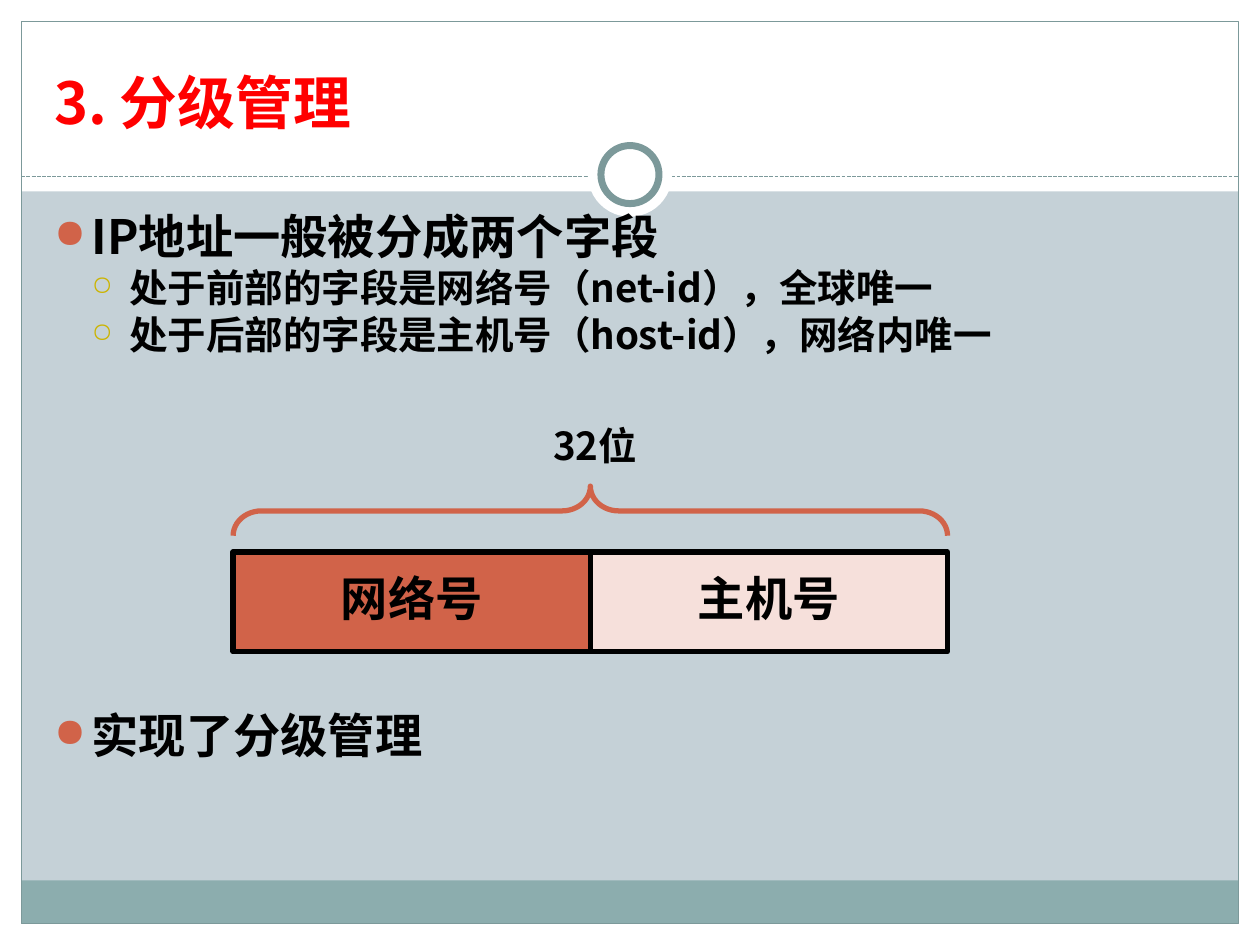
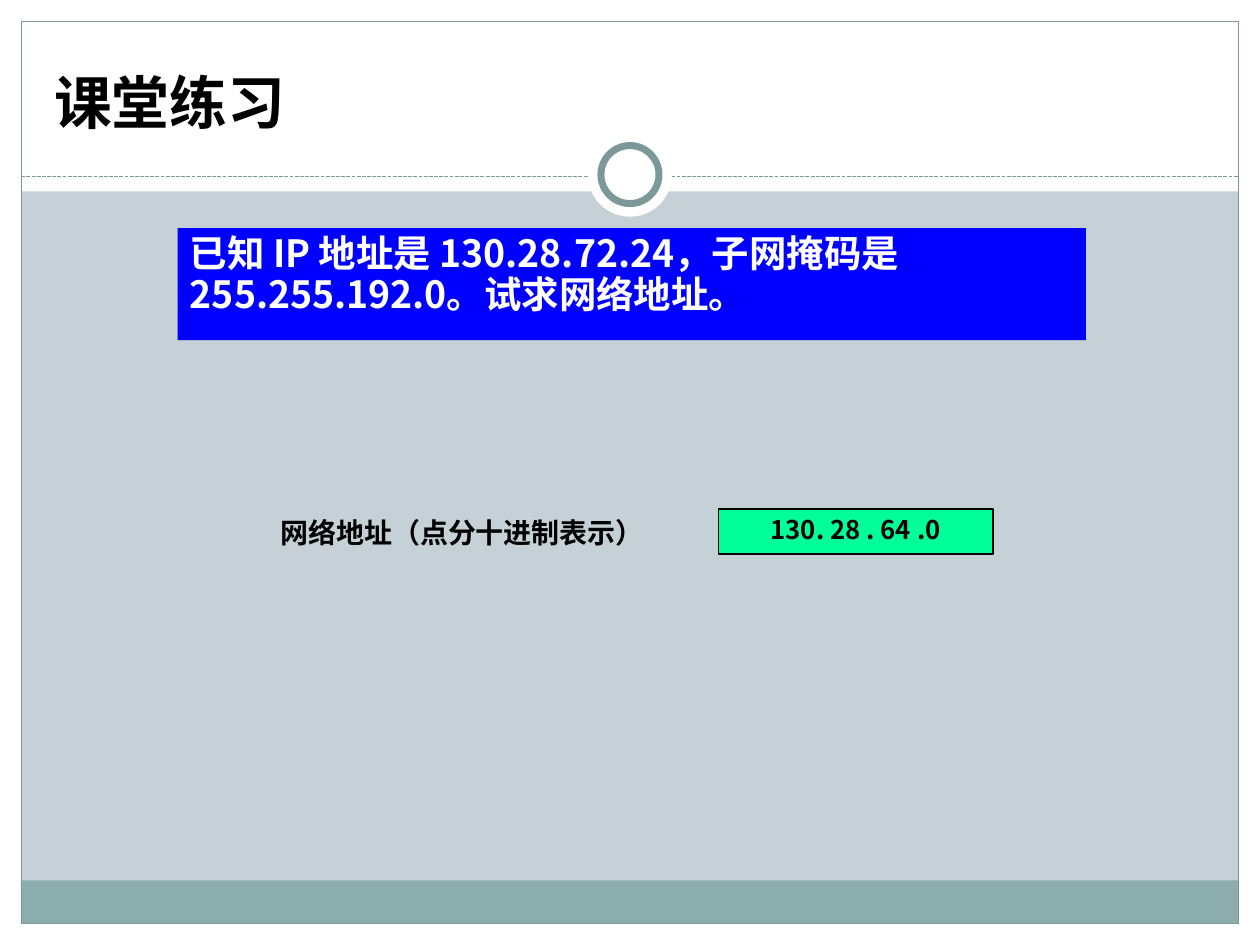
import pptx
import pptx.util
import pptx.dml.color
import pptx.enum.dml
import pptx.enum.shapes
import pptx.enum.text
import pptx.oxml.ns
import lxml.etree

Cm = pptx.util.Cm
Pt = pptx.util.Pt
Shape = pptx.enum.shapes.MSO_SHAPE
Align = pptx.enum.text.PP_ALIGN
Anchor = pptx.enum.text.MSO_ANCHOR
qn = pptx.oxml.ns.qn

FONT = "Noto Sans CJK SC"
HUES = {
    "page": "C5D1D7", "white": "FFFFFF", "black": "000000", "red": "FF0000",
    "foot": "8CADAE", "edge": "7C999A", "rust": "D16349", "blush": "F6E0DB",
    "gold": "CCB400", "blue": "0000FF", "mint": "00FF99",
}
WIDE, HIGH, RIM = 25.4, 19.05, 0.43
LEVELS = [
    {"size": 27, "left": 0.76, "mark": "●", "hue": "rust", "scale": 85},
    {"size": 22, "left": 1.52, "mark": "○", "hue": "gold", "scale": 70},
]


def color(name):
    return pptx.dml.color.RGBColor.from_string(HUES[name])


def lengths(box):
    return [Cm(n) for n in box]


def draw(slide, kind, box, fill=None, line=None, width=0.75):
    shape = slide.shapes.add_shape(kind, *lengths(box))
    shape.shadow.inherit = False
    if fill:
        shape.fill.solid()
        shape.fill.fore_color.rgb = color(fill)
    else:
        shape.fill.background()
    if line:
        shape.line.color.rgb = color(line)
        shape.line.width = Pt(width)
    else:
        shape.line.fill.background()
    return shape


def write(para, text, size, hue="black", space=0.84):
    para.line_spacing = space
    run = para.add_run()
    run.text = text
    run.font.name = FONT
    run.font.size = Pt(size)
    run.font.bold = True
    run.font.color.rgb = color(hue)
    props = run.font._element
    lxml.etree.SubElement(props, qn("a:ea"), typeface=FONT)


def frame(slide, box, anchor=Anchor.TOP):
    text = slide.shapes.add_textbox(*lengths(box)).text_frame
    text.word_wrap = True
    text.vertical_anchor = anchor
    return text


def center(shape, text, size):
    body = shape.text_frame
    body.vertical_anchor = Anchor.MIDDLE
    para = body.paragraphs[0]
    para.alignment = Align.CENTER
    write(para, text, size)


def bullet(para, level, text):
    style = LEVELS[level]
    write(para, text, style["size"])
    para.level = level
    para.space_before = Pt(style["size"] * 0.2)
    props = para._p.get_or_add_pPr()
    props.set("marL", str(Cm(style["left"])))
    props.set("indent", str(-Cm(0.76)))
    tint = lxml.etree.SubElement(props, qn("a:buClr"))
    lxml.etree.SubElement(tint, qn("a:srgbClr"), val=HUES[style["hue"]])
    lxml.etree.SubElement(props, qn("a:buSzPct"), val=str(style["scale"] * 1000))
    lxml.etree.SubElement(props, qn("a:buFont"), typeface="OpenSymbol")
    lxml.etree.SubElement(props, qn("a:buChar"), char=style["mark"])


def bullets(slide, box, items):
    body = frame(slide, box)
    for i, (level, text) in enumerate(items):
        para = body.add_paragraph() if i else body.paragraphs[0]
        bullet(para, level, text)


def divide(slide, left, right, y):
    rule = slide.shapes.add_connector(
        pptx.enum.shapes.MSO_CONNECTOR.STRAIGHT, *lengths((left, y, right, y)))
    rule.line.color.rgb = color("edge")
    rule.line.width = Pt(0.75)
    rule.line.dash_style = pptx.enum.dml.MSO_LINE.SQUARE_DOT
    lxml.etree.SubElement(rule._element.spPr, qn("a:effectLst"))


def ring(slide, x, y):
    for size, line in ((1.7, None), (1.17, "edge")):
        box = (x - size / 2, y - size / 2, size, size)
        draw(slide, Shape.OVAL, box, "white", line, 4)


def start(deck, title, hue="black"):
    slide = deck.slides.add_slide(deck.slide_layouts[6])
    slide.background.fill.solid()
    slide.background.fill.fore_color.rgb = color("page")
    inner = WIDE - 2 * RIM
    for box in (
        (0, HIGH - RIM, WIDE, RIM),
        (0, 0, WIDE, 3.86),
        (0, 0, RIM, HIGH),
        (WIDE - RIM, 0, RIM, HIGH),
    ):
        draw(slide, Shape.RECTANGLE, box, "white")
    draw(slide, Shape.RECTANGLE, (RIM, 17.75, inner, 0.87), "foot")
    draw(slide, Shape.RECTANGLE, (RIM, RIM, inner, HIGH - 2 * RIM), line="edge")
    divide(slide, RIM, WIDE - RIM, 3.56)
    ring(slide, WIDE / 2, 3.52)
    head = frame(slide, (0.84, 0.64, 23.7, 2.11), Anchor.BOTTOM)
    head.margin_bottom = 0
    write(head.paragraphs[0], title, 33, hue)
    return slide


def fields(slide, box, parts, total):
    x, y, w, h = box
    step = w / len(parts)
    for i, (text, fill) in enumerate(parts):
        cell = (x + i * step, y, step, h)
        center(draw(slide, Shape.RECTANGLE, cell, fill, "black", 3), text, 27)
    thick = 1
    spot = (x + w / 2 - thick / 2, y - 0.83 - w / 2, thick, w)
    brace = draw(slide, Shape.LEFT_BRACE, spot, line="rust", width=3)
    brace.rotation = 90
    brace.adjustments[0] = 0.57
    label = frame(slide, (x + 6.2, y - 2.6, 3.6, 1.2))
    write(label.paragraphs[0], total, 22)


def question(slide, box, text):
    panel = draw(slide, Shape.RECTANGLE, box, "blue")
    body = panel.text_frame
    body.word_wrap = True
    body.vertical_anchor = Anchor.TOP
    para = body.paragraphs[0]
    para.alignment = Align.LEFT
    write(para, text, 21.4, "white", 0.92)


def answer(slide, box, name, value):
    x, y, w, h = box
    label = frame(slide, (x, y + 0.1, 8.4, h))
    label.margin_left = label.margin_right = Cm(0.33)
    label.margin_top = label.margin_bottom = Cm(0.15)
    write(label.paragraphs[0], name, 16)
    wide = 5.54
    cell = draw(slide, Shape.RECTANGLE, (x + w - wide, y, wide, h), "mint", "black")
    center(cell, value, 14.7)


def levels(deck):
    slide = start(deck, "3. 分级管理", "red")
    bullets(slide, (0.84, 4.24, 23.62, 4), [
        (0, "IP地址一般被分成两个字段"),
        (1, "处于前部的字段是网络号（net-id），全球唯一"),
        (1, "处于后部的字段是主机号（host-id），网络内唯一"),
    ])
    parts = [("网络号", "rust"), ("主机号", "blush")]
    fields(slide, (4.7, 11.13, 14.4, 2.01), parts, "32位")
    bullets(slide, (0.84, 14.3, 23.62, 1.5), [(0, "实现了分级管理")])


def practice(deck):
    slide = start(deck, "课堂练习")
    question(slide, (3.58, 4.6, 18.31, 2.26),
             "已知 IP 地址是 130.28.72.24，子网掩码是 255.255.192.0。试求网络地址。")
    answer(slide, (5.33, 10.26, 14.69, 0.91),
           "网络地址（点分十进制表示）", "130. 28 . 64 .0")


def main():
    deck = pptx.Presentation()
    deck.slide_width, deck.slide_height = Cm(WIDE), Cm(HIGH)
    levels(deck)
    practice(deck)
    deck.save("out.pptx")


if __name__ == "__main__":
    main()
